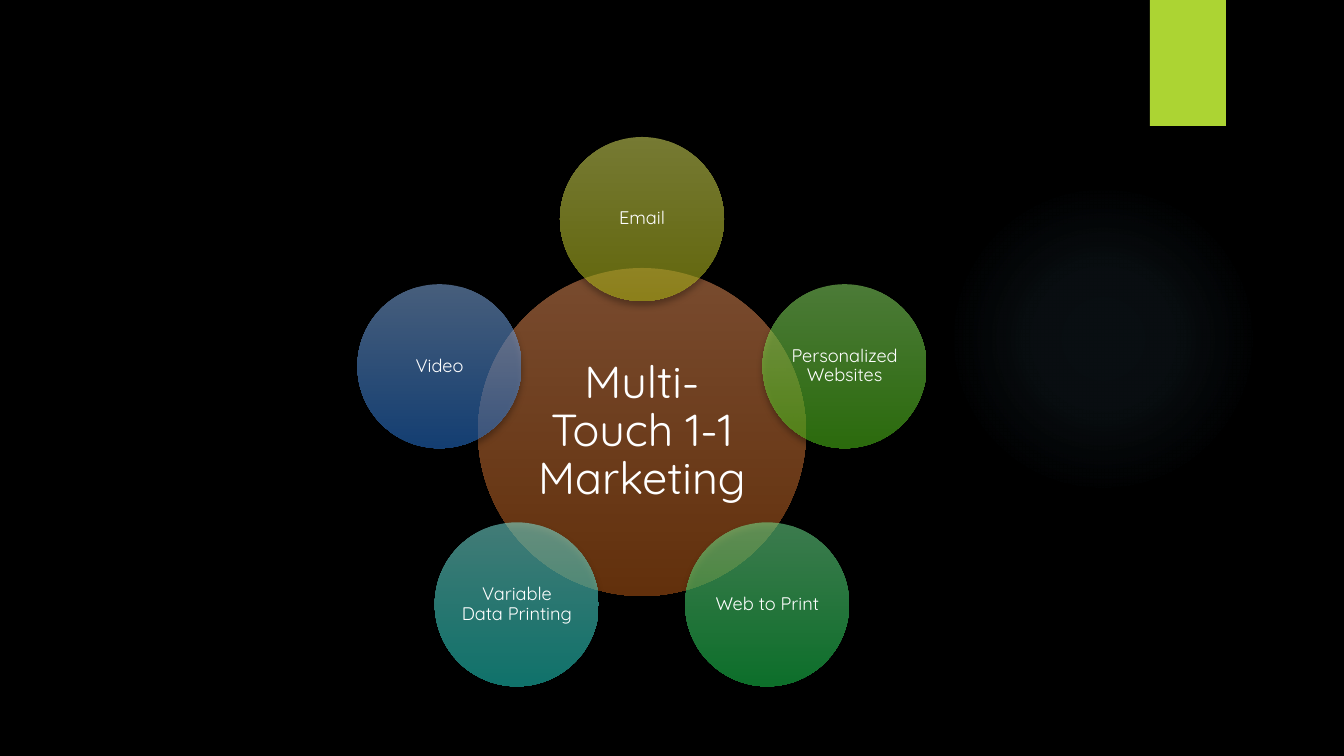
from dataclasses import dataclass
from math import cos, radians, sin

from lxml import etree
from pptx import Presentation
from pptx.dml.color import RGBColor
from pptx.enum.shapes import MSO_SHAPE
from pptx.enum.text import MSO_ANCHOR, PP_ALIGN
from pptx.oxml import parse_xml
from pptx.oxml.ns import nsdecls, qn
from pptx.util import Emu, Pt

OVAL = MSO_SHAPE.OVAL
RECT = MSO_SHAPE.RECTANGLE
MIDDLE = MSO_ANCHOR.MIDDLE
CENTER = PP_ALIGN.CENTER
UNIT = 914400 / 100.8
DOWN = '<a:lin ang="5400000" scaled="0"/>'
ROUND = ('<a:path path="circle"><a:fillToRect l="50000" t="50000" '
         'r="50000" b="50000"/></a:path>')


@dataclass(frozen=True)
class Theme:
    back: str = "000000"
    text: str = "FFFFFF"
    tab: str = "ACD433"
    glow: str = "7AC4F0"
    hub: tuple = ("F2975F", "C56118")
    font: str = "Quicksand"
    large: int = 32
    small: int = 13


THEME = Theme()
TOUCHES = [
    ("Email", ("ECF466", "C5CD19")),
    ("Personalized Websites", ("98F56F", "57D61A")),
    ("Web to Print", ("79F69C", "1BDE55")),
    ("Variable Data Printing", ("84F7EE", "20E4D5")),
    ("Video", ("8FBDF8", "287DE4")),
]


def px(count):
    return Emu(round(count * UNIT))


def add_form(slide, kind, box):
    form = slide.shapes.add_shape(kind, *map(px, box))
    form.line.fill.background()
    form.shadow.inherit = False
    return form


def set_blend(form, stops, course):
    marks = "".join(
        f'<a:gs pos="{place * 1000}"><a:srgbClr val="{color}">'
        f'<a:alpha val="{alpha * 1000}"/></a:srgbClr></a:gs>'
        for place, color, alpha in stops)
    props = form._element.spPr
    props.find(qn("a:prstGeom")).addnext(parse_xml(
        f'<a:gradFill {nsdecls("a")} rotWithShape="1">'
        f'<a:gsLst>{marks}</a:gsLst>{course}</a:gradFill>'))


def set_shadow(form, alpha, blur, drop):
    effects = form._element.spPr.find(qn("a:effectLst"))
    shade = etree.SubElement(
        effects, qn("a:outerShdw"), blurRad=str(Pt(blur)), dist=str(Pt(drop)),
        dir="5400000", algn="ctr", rotWithShape="0")
    color = etree.SubElement(shade, qn("a:srgbClr"), val="000000")
    etree.SubElement(color, qn("a:alpha"), val=str(alpha * 1000))


def add_disc(slide, x, y, size, label, colors, points, inset):
    disc = add_form(slide, OVAL, (x - size / 2, y - size / 2, size, size))
    set_blend(disc, [(0, colors[0], 50), (100, colors[1], 50)], DOWN)
    set_shadow(disc, 60, 5, 3)
    frame = disc.text_frame
    frame.text = label
    frame.word_wrap = True
    frame.vertical_anchor = MIDDLE
    frame.margin_left = frame.margin_right = px(inset)
    frame.margin_top = frame.margin_bottom = px(inset)
    line = frame.paragraphs[0]
    line.alignment = CENTER
    line.line_spacing = 0.9
    font = line.runs[0].font
    font.name = THEME.font
    font.size = Pt(points)
    font.color.rgb = RGBColor.from_string(THEME.text)


def draw_back(slide, box):
    left, top, width, height = box
    fill = slide.background.fill
    fill.solid()
    fill.fore_color.rgb = RGBColor.from_string(THEME.back)
    glow = add_form(slide, OVAL, (left + width - 396, top + 184, 310, 310))
    stops = [(0, THEME.glow, 7), (36, THEME.glow, 6), (69, THEME.glow, 0)]
    set_blend(glow, stops, ROUND)
    tab = add_form(slide, RECT, (left + width - 194, top, 76, 126))
    tab.fill.solid()
    tab.fill.fore_color.rgb = RGBColor.from_string(THEME.tab)
    set_shadow(tab, 45, 3, 2)


def draw_wheel(slide, box):
    left, top, width, height = box
    size = 164
    reach = 213
    x = left + width / 2
    y = top + size / 2 + reach
    add_disc(slide, x, y, size * 2, "Multi-Touch 1-1 Marketing",
             THEME.hub, THEME.large, 4)
    for index, (label, colors) in enumerate(TOUCHES):
        turn = radians(index * 360 / len(TOUCHES))
        add_disc(slide, x + reach * sin(turn), y - reach * cos(turn), size,
                 label, colors, THEME.small, 2)


def main():
    deck = Presentation()
    deck.slide_width = px(1344)
    deck.slide_height = px(756)
    slide = deck.slides.add_slide(deck.slide_layouts[6])
    draw_back(slide, (0, 0, 1344, 756))
    draw_wheel(slide, (358, 137, 568, 549))
    deck.save("out.pptx")


if __name__ == "__main__":
    main()
